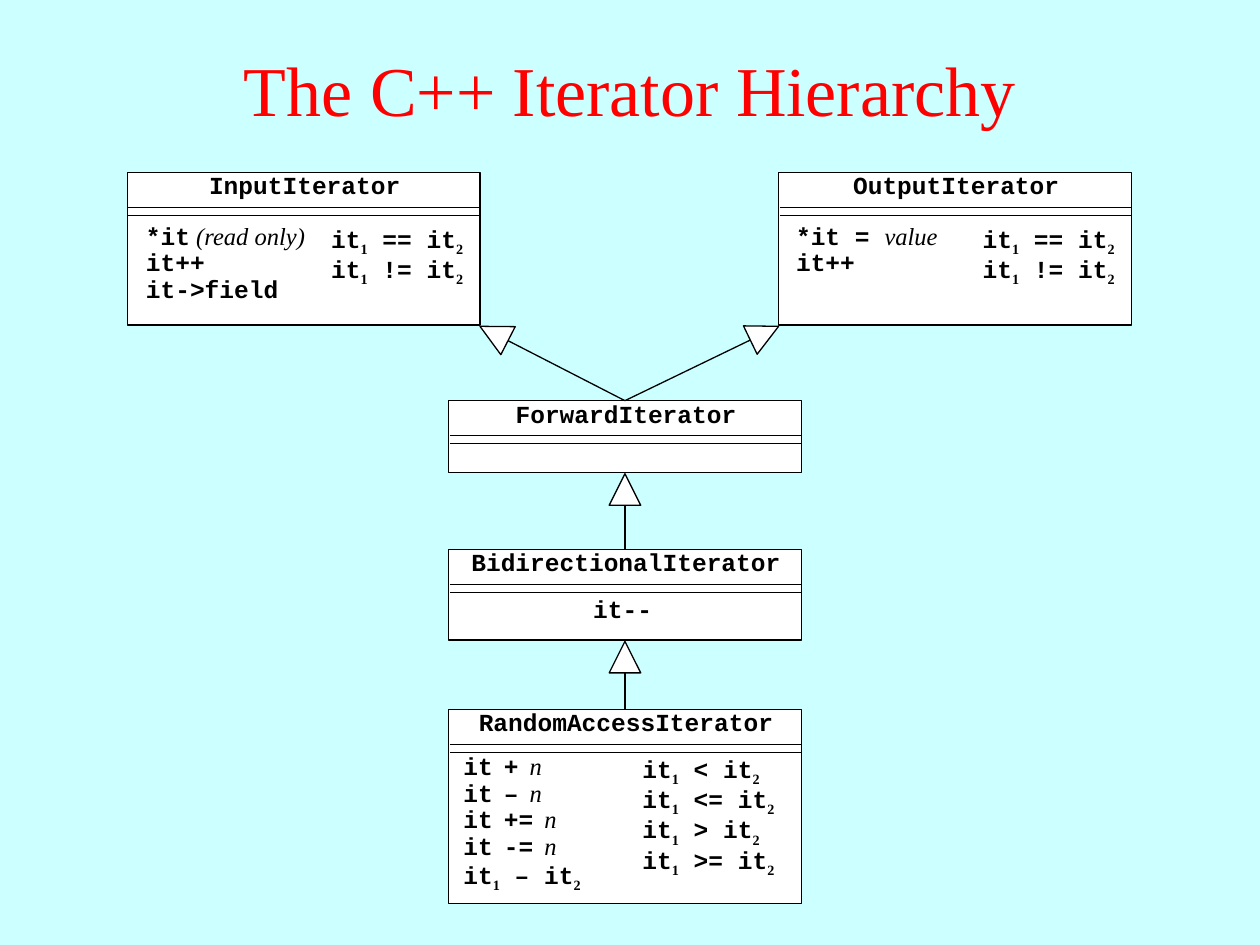
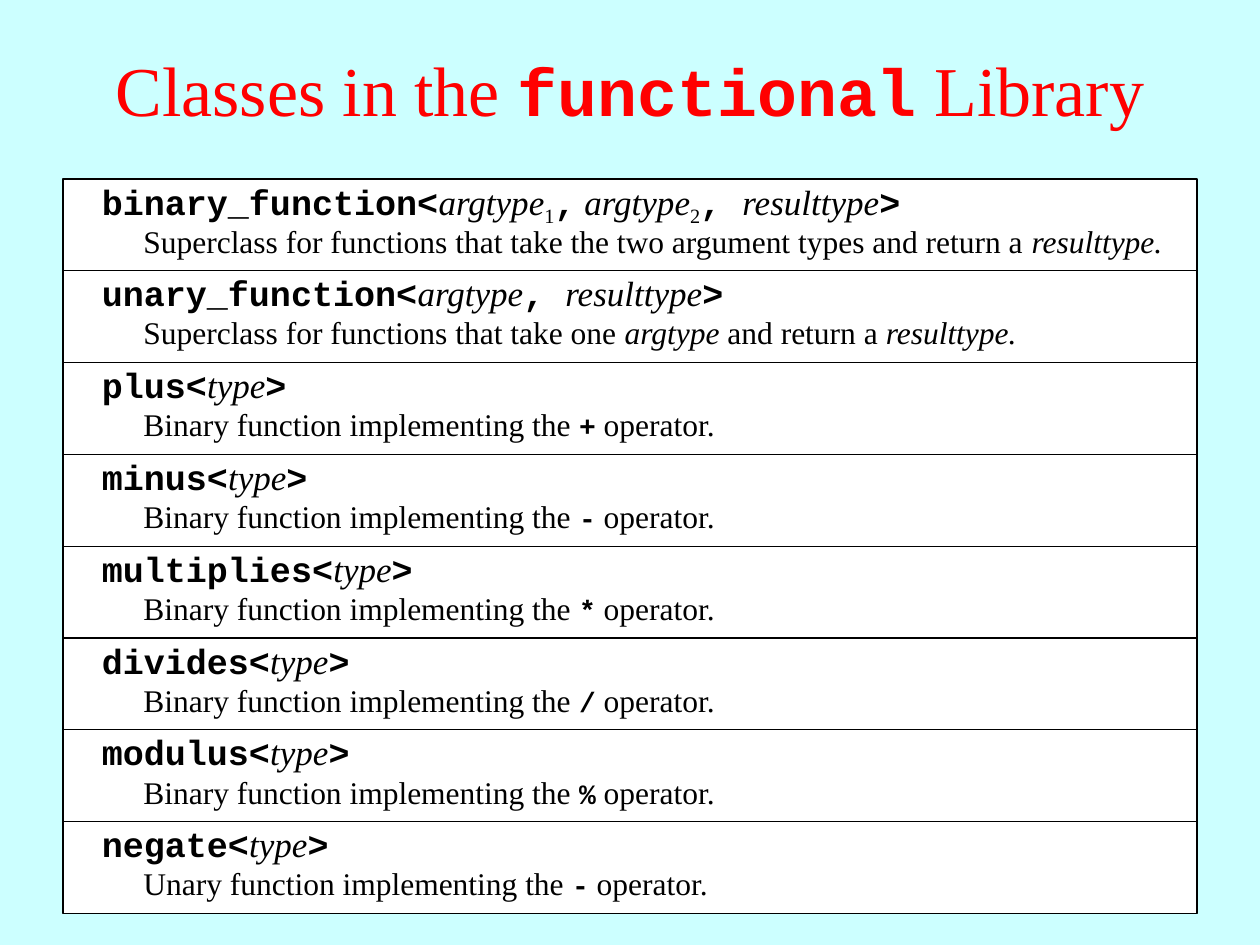
from math import atan2, degrees, hypot

from pptx import Presentation
from pptx.dml.color import RGBColor
from pptx.enum.shapes import MSO_CONNECTOR as Connector, MSO_SHAPE as Shape
from pptx.enum.text import MSO_ANCHOR as Anchor, PP_ALIGN as Align
from pptx.oxml.ns import qn
from pptx.util import Inches, Pt

COLORS = {"page": "CCFFFF", "title": "FF0000", "panel": "FFFFFF", "ink": "000000"}
SERIF, MONO = "Times New Roman", "Courier New"
PAGE_WIDTH, PAGE_HEIGHT = 10, 7.5

# Each text is a list of (style, words) spans.
STYLES = {
    "word": {"name": SERIF},
    "term": {"name": SERIF, "italic": True},
    "code": {"name": MONO, "bold": True},
    "sub": {"name": SERIF},
    "bold sub": {"name": SERIF, "bold": True},
    "gap": {"name": MONO, "bold": True, "size": Pt(10.5)},
    "title code": {"name": MONO, "bold": True, "size": Pt(38)},
    "symbol": {"name": MONO, "bold": True, "size": Pt(16)},
}
SUBSCRIPTS = {"sub", "bold sub"}


def code(words):
    return [("code", words)]


def compare(operator):
    return [("code", "it"), ("bold sub", "1"), ("code", f" {operator} it"), ("bold sub", "2")]


def step(operator):
    return [("code", "it"), ("gap", " "), ("code", operator), ("gap", " "), ("term", "n")]


HIERARCHY_TITLE = [("word", "The C++ Iterator Hierarchy")]
EQUALITY = [compare("=="), compare("!=")]
CLASS_WIDTH = 2.8
MIDDLE = 3.56

# Member columns: (offset from the class box, width, lines)
CLASSES = {
    "RandomAccessIterator": {"at": (MIDDLE, 5.63), "height": 1.54, "members": [
        ((0.02, 0.31), 1.5, [step(sign) for sign in ("+", "–", "+=", "-=")] + [compare("–")]),
        ((1.44, 0.31), 1.33, [compare(sign) for sign in ("<", "<=", ">", ">=")])]},
    "BidirectionalIterator": {"at": (MIDDLE, 4.36), "height": 0.72, "members": [
        ((1.05, 0.33), 0.67, [code("it--")])]},
    "ForwardIterator": {"at": (MIDDLE, 3.18), "height": 0.57, "members": []},
    "InputIterator": {"at": (1.01, 1.37), "height": 1.21, "members": [
        ((0.05, 0.36), 2.53, [[("code", "*it"), ("term", " (read only)")],
                              code("it++"), code("it->field")]),
        ((1.52, 0.36), 1.29, EQUALITY)]},
    "OutputIterator": {"at": (6.18, 1.37), "height": 1.21, "members": [
        ((0.04, 0.36), 2.53, [[("code", "*it = "), ("term", "value")], code("it++")]),
        ((1.52, 0.36), 1.29, EQUALITY)]},
}
# (subclass, superclass, share of the superclass's width where the arrow ends)
INHERITANCE = [
    ("ForwardIterator", "InputIterator", 1),
    ("ForwardIterator", "OutputIterator", 0),
    ("BidirectionalIterator", "ForwardIterator", 0.5),
    ("RandomAccessIterator", "BidirectionalIterator", 0.5),
]

FUNCTIONAL_TITLE = [("word", "Classes in the "), ("title code", "functional"), ("word", " Library")]
OPERATORS = [
    ("plus", "Binary", "+"),
    ("minus", "Binary", "-"),
    ("multiplies", "Binary", "*"),
    ("divides", "Binary", "/"),
    ("modulus", "Binary", "%"),
    ("negate", "Unary", "-"),
]
FUNCTION_CLASSES = [
    ([("code", "binary_function<"), ("term", "argtype"), ("sub", "1"), ("code", ","),
      ("term", " argtype"), ("sub", "2"), ("code", ", "), ("term", "resulttype"), ("code", ">")],
     [("word", "Superclass for functions that take the two argument types and return a "),
      ("term", "resulttype.")]),
    ([("code", "unary_function<"), ("term", "argtype"), ("code", ", "),
      ("term", "resulttype"), ("code", ">")],
     [("word", "Superclass for functions that take one "), ("term", "argtype "),
      ("word", "and return a "), ("term", "resulttype.")]),
] + [
    ([("code", f"{name}<"), ("term", "type"), ("code", ">")],
     [("word", f"{arity} function implementing the "), ("symbol", symbol), ("word", " operator.")])
    for name, arity, symbol in OPERATORS
]


def rgb(color):
    return RGBColor.from_string(COLORS[color])


def add_text(page, at, lines, size, color="ink", align=Align.LEFT, spacing=1.0, anchor=Anchor.TOP):
    frame = page.shapes.add_textbox(*map(Inches, at)).text_frame
    frame.word_wrap = True
    frame.vertical_anchor = anchor
    for index, line in enumerate(lines):
        para = frame.paragraphs[0] if index == 0 else frame.add_paragraph()
        para.alignment = align
        para.line_spacing = spacing
        for style, words in line:
            span = para.add_run()
            span.text = words
            for key, value in ({"size": Pt(size)} | STYLES[style]).items():
                setattr(span.font, key, value)
            span.font.color.rgb = rgb(color)
            if style in SUBSCRIPTS:
                span.font._element.set("baseline", "-25000")


def add_panel(page, at, kind=Shape.RECTANGLE):
    panel = page.shapes.add_shape(kind, *map(Inches, at))
    panel.shadow.inherit = False
    panel.fill.solid()
    panel.fill.fore_color.rgb = rgb("panel")
    panel.line.color.rgb = rgb("ink")
    panel.line.width = Pt(0.75)
    return panel


def add_line(page, start, end, width=0.75):
    line = page.shapes.add_connector(Connector.STRAIGHT, *map(Inches, (*start, *end)))
    line.line.color.rgb = rgb("ink")
    line.line.width = Pt(width)
    properties = line._element.spPr
    properties.append(properties.makeelement(qn("a:effectLst"), {}))


def add_page(deck, title):
    page = deck.slides.add_slide(deck.slide_layouts[6])
    page.background.fill.solid()
    page.background.fill.fore_color.rgb = rgb("page")
    add_text(page, (0, 0.08, PAGE_WIDTH, 1.25), [title], 40, "title", Align.CENTER,
             anchor=Anchor.MIDDLE)
    return page


def add_class(page, name, spec_of_class):
    left, top = spec_of_class["at"]
    add_panel(page, (left, top, CLASS_WIDTH, spec_of_class["height"]))
    for drop in (0.28, 0.34):
        add_line(page, (left + 0.01, top + drop), (left + CLASS_WIDTH, top + drop), 0.5)
    add_text(page, (left + 0.01, top - 0.04, CLASS_WIDTH, 0.32), [code(name)], 14,
             align=Align.CENTER, spacing=0.9)
    for (right, down), width, lines in spec_of_class["members"]:
        height = 0.1 + 0.21 * len(lines)
        add_text(page, (left + right, top + down, width, height), lines, 14, spacing=0.9)


def add_inheritance(page, tail, tip, head=0.25):
    """Draw a line from tail that ends in a hollow triangle pointing at tip."""
    across, down = tail[0] - tip[0], tail[1] - tip[1]
    length = hypot(across, down)

    def along(distance):
        return tip[0] + across * distance / length, tip[1] + down * distance / length

    add_line(page, tail, along(head))
    x, y = along(head / 2)
    triangle = add_panel(page, (x - head / 2, y - head / 2, head, head), Shape.ISOSCELES_TRIANGLE)
    triangle.rotation = degrees(atan2(-across, down)) % 360


def build_hierarchy(deck):
    page = add_page(deck, HIERARCHY_TITLE)
    for name, details in CLASSES.items():
        add_class(page, name, details)
    for subclass, superclass, share in INHERITANCE:
        child, parent = CLASSES[subclass], CLASSES[superclass]
        tail = child["at"][0] + CLASS_WIDTH / 2, child["at"][1]
        tip = parent["at"][0] + CLASS_WIDTH * share, parent["at"][1] + parent["height"] + 0.01
        add_inheritance(page, tail, tip)


def build_functional(deck):
    page = add_page(deck, FUNCTIONAL_TITLE)
    left, top, width, height = 0.5, 1.42, 9, 5.83
    row = height / len(FUNCTION_CLASSES)
    add_panel(page, (left, top, width, height))
    for index, (signature, description) in enumerate(FUNCTION_CLASSES):
        y = top + index * row
        if index:
            add_line(page, (left, y), (left + width, y))
        add_text(page, (left + 0.21, y - 0.04, 8.58, 0.43), [signature], 20)
        add_text(page, (left + 0.54, y + 0.29, 8.33, 0.4), [description], 18)


def main():
    deck = Presentation()
    deck.slide_width, deck.slide_height = Inches(PAGE_WIDTH), Inches(PAGE_HEIGHT)
    build_hierarchy(deck)
    build_functional(deck)
    deck.save("out.pptx")


if __name__ == "__main__":
    main()
